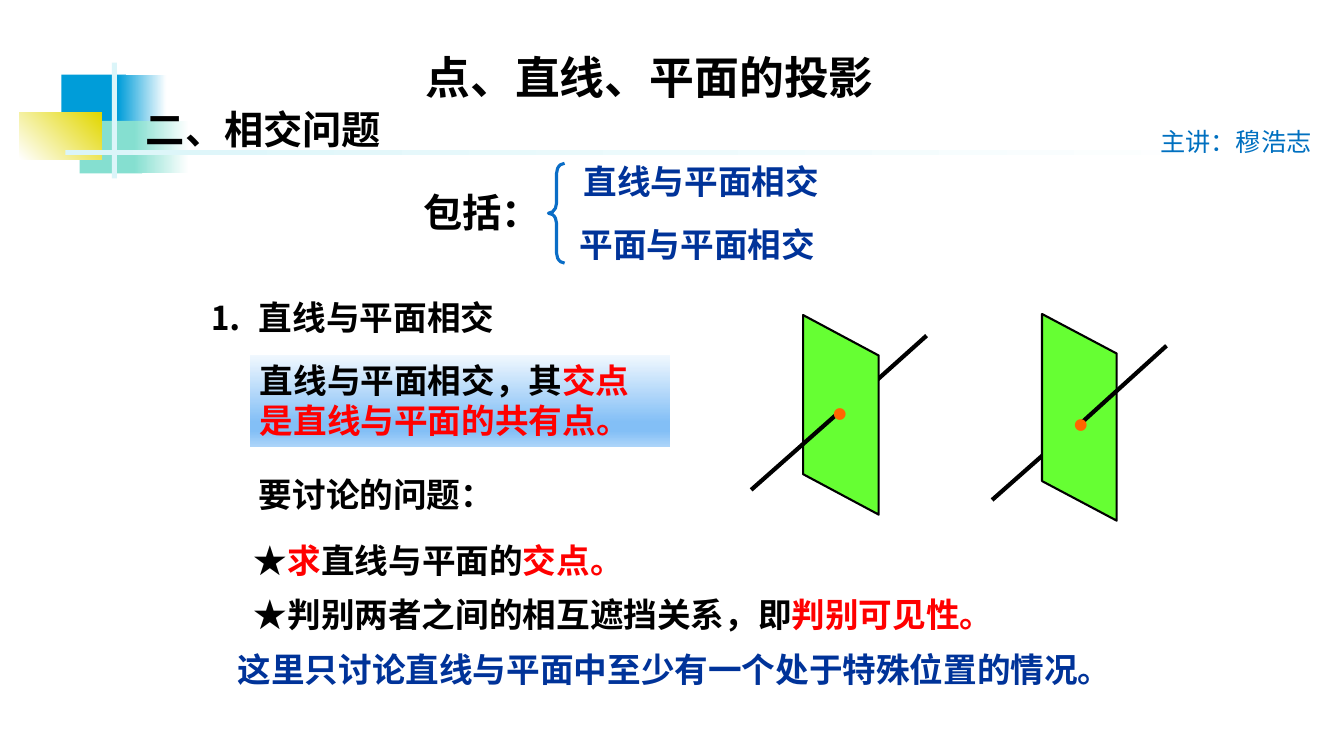
"""Builds the slide on where a line meets a plane."""
from dataclasses import dataclass

import lxml.etree
import pptx
import pptx.dml.color
import pptx.enum.shapes
import pptx.enum.text
import pptx.oxml.ns
import pptx.util

EMU_PER_PX = 9144
SANS, SERIF, DOT_FONT = "Noto Sans CJK SC", "Times New Roman", "Cambria"
BLACK, RED, NAVY, WHITE = "000000", "FF0000", "003399", "FFFFFF"
BLUE, TEAL, ICE, GREEN, ORANGE = "009DD9", "85DFD0", "DBF5F9", "66FF33", "FF6600"
MIDDLE, TOP = pptx.enum.text.MSO_ANCHOR.MIDDLE, pptx.enum.text.MSO_ANCHOR.TOP
LEFT, CENTER = pptx.enum.text.PP_ALIGN.LEFT, pptx.enum.text.PP_ALIGN.CENTER
GROW = pptx.enum.text.MSO_AUTO_SIZE.SHAPE_TO_FIT_TEXT
PRESET = pptx.enum.shapes.MSO_SHAPE

Box = tuple[int, int, int, int]
Spans = tuple[tuple[str, str], ...]


@dataclass(frozen=True)
class Band:
    """A rectangle filled with one colour or with gradient stops."""
    box: Box
    stops: tuple[tuple[int, str], ...]
    angle: int = 0


@dataclass(frozen=True)
class Label:
    """A text box whose spans are pairs of wording and colour."""
    box: Box
    spans: Spans
    size: int = 24
    font: str = SERIF
    bold: bool = True
    wrap: bool = False
    anchor: pptx.enum.text.MSO_ANCHOR = MIDDLE
    align: pptx.enum.text.PP_ALIGN = LEFT
    tab: int = 0


@dataclass(frozen=True)
class Crossing:
    """A plane with the line parts behind and before it."""
    plane: Box
    rotation: int
    slant: float
    behind: Box
    before: Box
    dot: Box


BANDS = (
    Band((61, 74, 64, 52), ((0, BLUE),)),
    Band((117, 74, 48, 52), ((0, BLUE), (100, WHITE))),
    Band((79, 120, 62, 52), ((0, TEAL),)),
    Band((133, 120, 54, 52), ((0, TEAL), (100, WHITE))),
    Band((19, 112, 82, 46), ((0, WHITE), (100, "E2D700")), 315),
    Band((111, 62, 5, 115), ((0, ICE),)),
    Band((65, 149, 1200, 5), ((0, ICE), (100, WHITE))),
    Band((248, 352, 417, 91),
         ((0, "F1F8FE"), (74, "83BFF6"), (83, "83BFF6"), (100, "ACD4F9")), 90),
)
LABELS = (
    Label((1141, 120, 182, 40), (("主讲：穆浩志", "0070C0"),),
          18, SANS, bold=False, wrap=True, anchor=TOP),
    Label((340, 44, 609, 63), (("点、直线、平面的投影", BLACK),),
          32, SANS, wrap=True, align=CENTER),
    Label((135, 99, 257, 57), (("二、相交问题", BLACK),), 28),
    Label((410, 182, 139, 57), (("包括：", BLACK),), 28),
    Label((569, 155, 257, 50), (("直线与平面相交", NAVY),)),
    Label((565, 217, 309, 50), (("平面与平面相交", NAVY),), wrap=True),
    Label((198, 290, 308, 50), (("⒈\t直线与平面相交", BLACK),), wrap=True, tab=49),
    Label((248, 352, 417, 91),
          (("直线与平面相交，其", BLACK), ("交点是直线与平面的共有点。", RED)),
          font=SANS, wrap=True, anchor=TOP),
    Label((247, 465, 257, 50), (("要讨论的问题：", BLACK),)),
    Label((242, 531, 392, 50), (("★", BLACK), ("求", RED),
                                ("直线与平面的", BLACK), ("交点。", RED))),
    Label((242, 584, 842, 50),
          (("★判别两者之间的相互遮挡关系，即", BLACK), ("判别可见性。", RED)),
          font=SANS, wrap=True),
    Label((226, 639, 906, 50),
          (("这里只讨论直线与平面中至少有一个处于特殊位置的情况。", NAVY),),
          font=SANS, wrap=True),
)
CROSSINGS = (
    Crossing((735, 374, 198, 75), 270, 0.535, (919, 333, 833, 410),
             (831, 410, 745, 486), (815, 395, 36, 29)),
    Crossing((968, 377, 205, 74), 90, 0.53, (1070, 420, 984, 496),
             (1157, 343, 1072, 420), (1054, 405, 36, 29)),
)


def scaled(box: Box) -> list[int]:
    """Turn px lengths into EMU."""
    return [length * EMU_PER_PX for length in box]


def colour(value: str) -> pptx.dml.color.RGBColor:
    """Turn a hex string into a colour."""
    return pptx.dml.color.RGBColor.from_string(value)


def apply(target: object, values: dict[str, object]) -> None:
    """Set each named attribute on the target."""
    for name, value in values.items():
        setattr(target, name, value)


def child(parent, tag: str, **attributes: str):
    """Append a drawing element to the parent."""
    return lxml.etree.SubElement(parent, pptx.oxml.ns.qn(tag), attributes)


def add_preset(page, preset, box: Box):
    """Add a preset shape without a shadow."""
    shape = page.shapes.add_shape(preset, *scaled(box))
    shape.shadow.inherit = False
    return shape


def draw_stroke(line, value: str, width: float) -> None:
    """Give a line its colour and its width in points."""
    line.color.rgb = colour(value)
    line.width = pptx.util.Pt(width)


def draw_band(page, band: Band) -> None:
    """Draw a borderless rectangle."""
    shape = add_preset(page, PRESET.RECTANGLE, band.box)
    shape.line.fill.background()
    if len(band.stops) == 1:
        shape.fill.solid()
        shape.fill.fore_color.rgb = colour(band.stops[0][1])
        return
    shape.fill.gradient()
    shape.fill.gradient_angle = -band.angle % 360
    stop_list = shape.element.spPr.find(".//" + pptx.oxml.ns.qn("a:gsLst"))
    for old_stop in list(stop_list):
        stop_list.remove(old_stop)
    for position, value in band.stops:
        stop = child(stop_list, "a:gs", pos=str(position * 1000))
        child(stop, "a:srgbClr", val=value)


def draw_label(page, label: Label) -> None:
    """Draw a text box with its coloured spans."""
    frame = page.shapes.add_textbox(*scaled(label.box)).text_frame
    apply(frame, {"word_wrap": label.wrap, "auto_size": GROW,
                  "vertical_anchor": label.anchor})
    para = frame.paragraphs[0]
    para.alignment = label.align
    if label.tab:
        tabs = child(para._p.get_or_add_pPr(), "a:tabLst")
        child(tabs, "a:tab", pos=str(label.tab * EMU_PER_PX), algn="l")
    for wording, value in label.spans:
        span = para.add_run()
        span.text = wording
        apply(span.font, {"size": pptx.util.Pt(label.size), "bold": label.bold,
                          "name": label.font})
        span.font.color.rgb = colour(value)
        child(span._r.get_or_add_rPr(), "a:ea", typeface=SANS)


def draw_line(page, ends: Box) -> None:
    """Draw a thick black straight line."""
    straight = pptx.enum.shapes.MSO_CONNECTOR.STRAIGHT
    line = page.shapes.add_connector(straight, *scaled(ends))
    draw_stroke(line.line, BLACK, 3)
    child(line.element.spPr, "a:effectLst")


def draw_crossing(page, crossing: Crossing) -> None:
    """Draw a line passing through a plane at a dot."""
    draw_line(page, crossing.behind)
    plane = add_preset(page, PRESET.PARALLELOGRAM, crossing.plane)
    plane.rotation = crossing.rotation
    plane.adjustments[0] = crossing.slant
    plane.fill.solid()
    plane.fill.fore_color.rgb = colour(GREEN)
    draw_stroke(plane.line, BLACK, 1.5)
    draw_line(page, crossing.before)
    draw_label(page, Label(crossing.dot, (("●", ORANGE),), 11, DOT_FONT,
                           bold=False, align=CENTER))


def main() -> None:
    """Build and save the deck."""
    deck = pptx.Presentation()
    apply(deck, {"slide_width": 1333 * EMU_PER_PX, "slide_height": 750 * EMU_PER_PX})
    page = deck.slides.add_slide(deck.slide_layouts[6])
    for band in BANDS:
        draw_band(page, band)
    for label in LABELS:
        draw_label(page, label)
    for crossing in CROSSINGS:
        draw_crossing(page, crossing)
    brace = add_preset(page, PRESET.LEFT_BRACE, (544, 162, 16, 99))
    brace.adjustments[0] = 0.626
    brace.fill.background()
    draw_stroke(brace.line, "0A6DC6", 2.25)
    deck.save("out.pptx")


if __name__ == "__main__":
    main()
